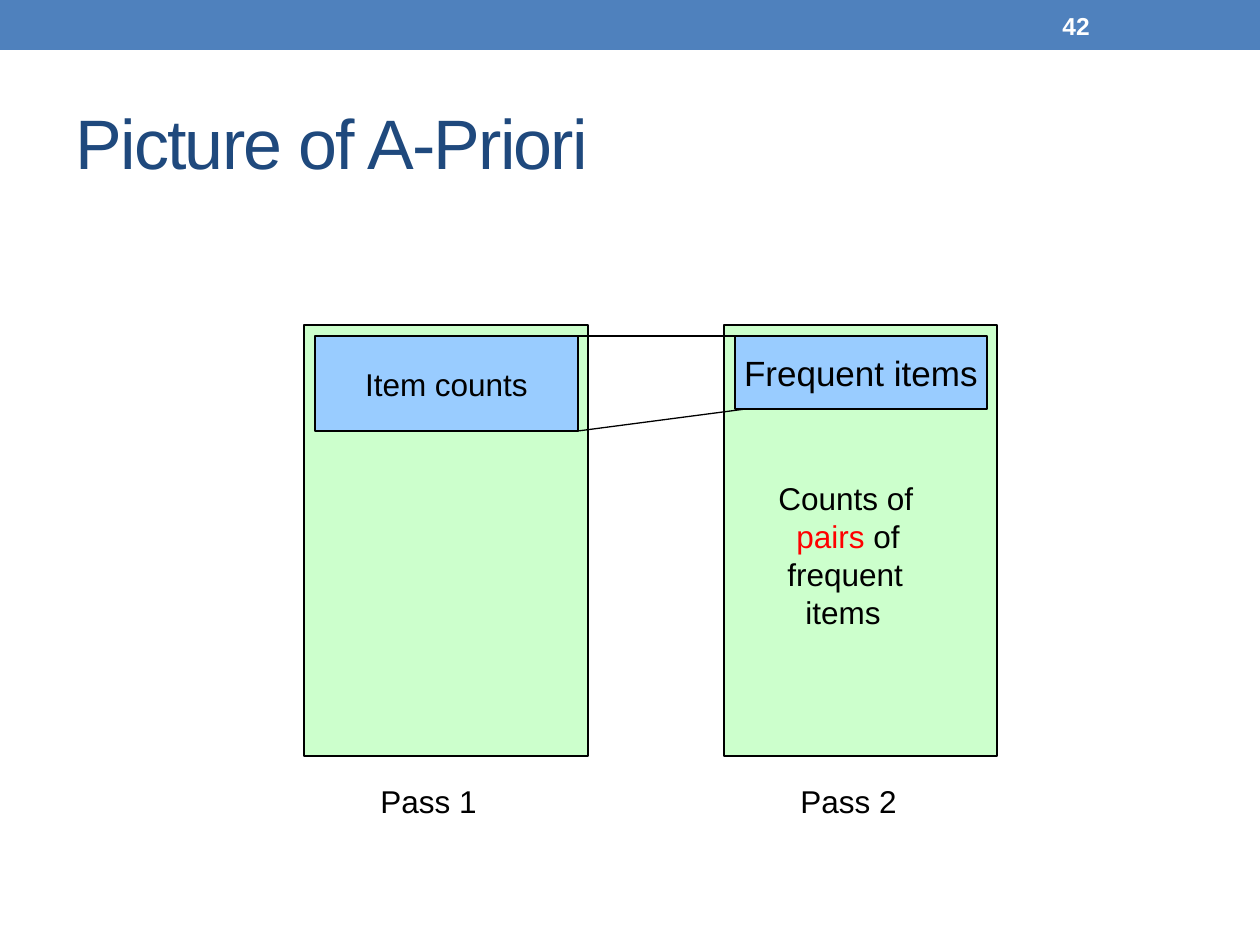
from dataclasses import dataclass

from lxml import etree
from pptx import Presentation
from pptx import util as u
from pptx.dml.color import RGBColor
from pptx.enum import shapes, text
from pptx.oxml.ns import qn

DPI = 126  # px to the inch


@dataclass(frozen=True)
class Theme:
    font: str = "Arial"
    bar: str = "4F81BD"
    title: str = "1F497D"
    white: str = "FFFFFF"
    ink: str = "000000"
    red: str = "FF0000"
    green: str = "CCFFCC"
    blue: str = "99CCFF"
    body: int = 18
    large: int = 20
    head: int = 40
    page: int = 14
    line: float = 0.75


THEME = Theme()


@dataclass(frozen=True)
class Box:
    x: int
    y: int
    w: int
    h: int
    fill: str
    label: str = ""
    size: int = THEME.body
    edge: bool = True


@dataclass(frozen=True)
class Note:
    x: int
    y: int
    w: int
    h: int
    label: str
    size: int = THEME.body
    color: str = THEME.ink
    bold: bool = False
    middle: bool = False


@dataclass(frozen=True)
class Link:
    x1: int
    y1: int
    x2: int
    y2: int


def px(n: int) -> u.Emu:
    return u.Emu(round(n * 914400 / DPI))


def rgb(code: str) -> RGBColor:
    return RGBColor.from_string(code)


def style(run, size: int, color: str, bold: bool = False) -> None:
    font = run.font
    font.name, font.size, font.bold = THEME.font, u.Pt(size), bold
    font.color.rgb = rgb(color)


def draw_box(slide, box: Box) -> None:
    shape = slide.shapes.add_shape(
        shapes.MSO_SHAPE.RECTANGLE, px(box.x), px(box.y), px(box.w), px(box.h))
    shape.shadow.inherit = False
    shape.fill.solid()
    shape.fill.fore_color.rgb = rgb(box.fill)
    if box.edge:
        shape.line.color.rgb = rgb(THEME.ink)
        shape.line.width = u.Pt(THEME.line)
    else:
        shape.line.fill.background()
    if box.label:
        frame = shape.text_frame
        frame.text = box.label
        frame.word_wrap = True
        frame.margin_left = frame.margin_right = 0
        frame.vertical_anchor = text.MSO_ANCHOR.MIDDLE
        para = frame.paragraphs[0]
        para.alignment = text.PP_ALIGN.CENTER
        style(para.runs[0], box.size, THEME.ink)


def draw_note(slide, note: Note):
    shape = slide.shapes.add_textbox(
        px(note.x), px(note.y), px(note.w), px(note.h))
    frame = shape.text_frame
    frame.text = note.label
    frame.word_wrap = True
    frame.margin_right = 0
    if note.middle:
        frame.vertical_anchor = text.MSO_ANCHOR.MIDDLE
    for para in frame.paragraphs:
        style(para.runs[0], note.size, note.color, note.bold)
    return frame


def draw_link(slide, link: Link) -> None:
    line = slide.shapes.add_connector(
        shapes.MSO_CONNECTOR.STRAIGHT,
        px(link.x1), px(link.y1), px(link.x2), px(link.y2))
    line.line.color.rgb = rgb(THEME.ink)
    line.line.width = u.Pt(THEME.line)
    etree.SubElement(line._element.spPr, qn("a:effectLst"))


def main() -> None:
    deck = Presentation()
    deck.slide_width, deck.slide_height = px(1260), px(945)
    slide = deck.slides.add_slide(deck.slide_layouts[6])

    # Top bar, page number and title
    draw_box(slide, Box(0, 0, 1260, 50, THEME.bar, edge=False))
    draw_note(slide, Note(1050, 3, 147, 45, "42", THEME.page, THEME.white,
                          bold=True, middle=True))
    title = draw_note(slide, Note(63, 73, 1134, 136, "Picture of A-Priori",
                                  THEME.head, THEME.title, middle=True))
    title.paragraphs[0].runs[0].font._element.set("spc", "-100")

    # Memory of each pass, with its item table on top
    first = Box(315, 336, 263, 95, THEME.blue, "Item counts")
    second = Box(735, 336, 252, 73, THEME.blue, "Frequent items", THEME.large)
    for box in (Box(304, 325, 284, 431, THEME.green),
                Box(724, 325, 273, 431, THEME.green), first, second):
        draw_box(slide, box)

    # Pass labels
    for num, left in enumerate((368, 788), 1):
        draw_note(slide, Note(left, 776, 145, 63, f"Pass {num}"))

    # Links from the first table to the second
    right, low = first.x + first.w, first.y + first.h
    draw_link(slide, Link(right, first.y, second.x, second.y))
    draw_link(slide, Link(right, low, second.x + 11, second.y + second.h))

    # Pair counts, each line with its own indent
    pairs = draw_note(slide, Note(766, 473, 161, 165,
                                  "Counts of\npairs\nfrequent\nitems"))
    for para, left in zip(pairs.paragraphs, (0, 18, 9, 27)):
        props = para._p.get_or_add_pPr()
        props.set("marL", str(px(left)))
        props.set("indent", "0")
    para = pairs.paragraphs[1]
    para.runs[0].font.color.rgb = rgb(THEME.red)
    rest = para.add_run()
    rest.text = " of"
    style(rest, THEME.body, THEME.ink)

    deck.save("out.pptx")


if __name__ == "__main__":
    main()
